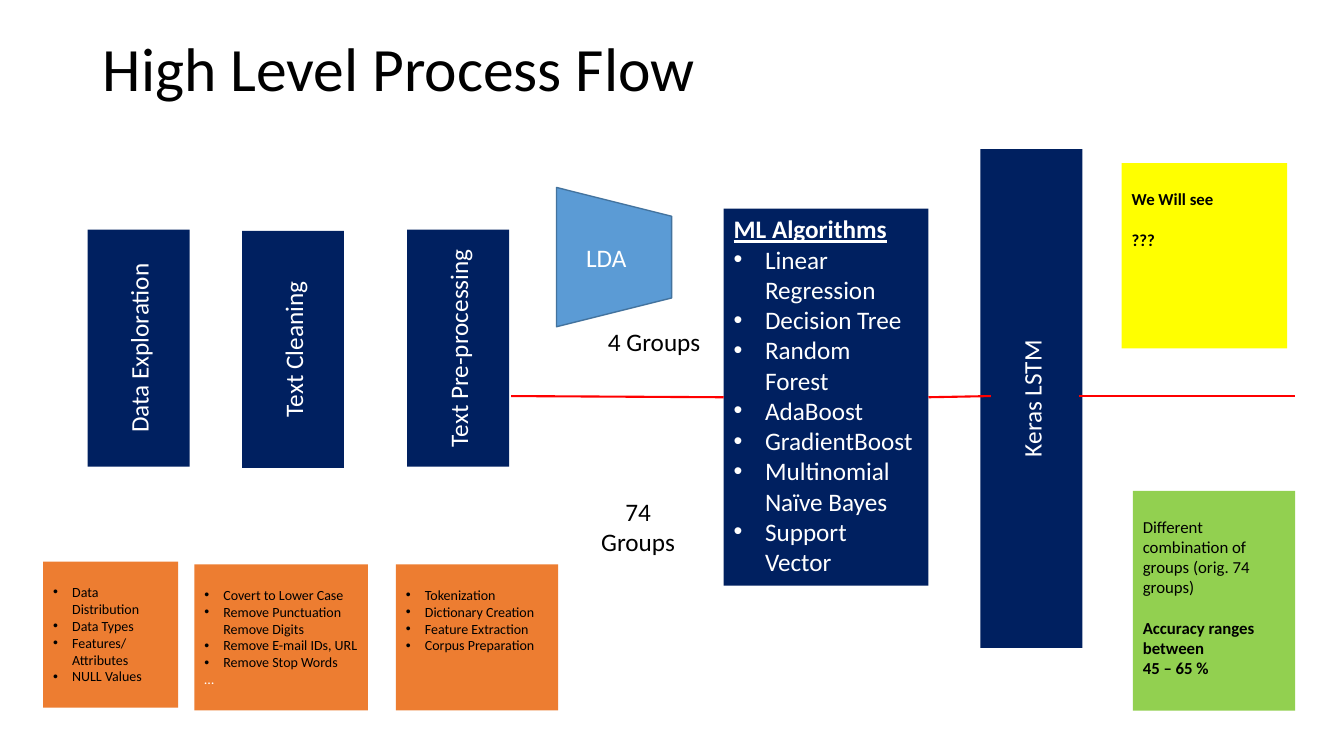
"""Build the High Level Process Flow slide."""
from lxml import etree
from pptx import Presentation, util as u
from pptx.dml.color import RGBColor
from pptx.enum import shapes, text
from pptx.oxml.ns import qn

NAVY, ORANGE, BLUE, BLUE_EDGE = "002060", "ED7D31", "5B9BD5", "43739E"
GREEN, YELLOW, RED, BLACK, WHITE = "92D050", "FFFF00", "FF0000", "000000", "FFFFFF"
FONT = "Calibri"
LINE_HEIGHT = 1.22

TITLE = ("High Level Process Flow", (2.34, 0.25, 29.21, 3.12))
STAGES = [
    ("Data Exploration", (2.21, 5.79, 2.57, 5.97)),
    ("Text Cleaning", (6.1, 5.82, 2.57, 5.97)),
    ("Text Pre-processing", (10.26, 5.79, 2.57, 5.97)),
    ("Keras LSTM", (24.71, 3.76, 2.57, 12.57)),
]
STAGE_DETAILS = [
    (["Data Distribution", "Data Types", "Features/ Attributes", "NULL Values"],
     "", (1.09, 14.15, 3.4, 3.68)),
    (["Covert to Lower Case", "Remove Punctuation Remove Digits",
      "Remove E-mail IDs, URL", "Remove Stop Words"],
     "…", (4.9, 14.22, 4.37, 3.68)),
    (["Tokenization", "Dictionary Creation", "Feature Extraction", "Corpus Preparation"],
     "", (9.98, 14.22, 4.09, 3.68)),
]
TOPIC_MODEL = ("LDA", (13.72, 5.03, 3.51, 2.9))
ALGORITHMS = ("ML Algorithms",
              ["Linear Regression", "Decision Tree", "Random Forest", "AdaBoost",
               "GradientBoost", "Multinomial Naïve Bayes", "Support Vector"],
              (18.24, 5.26, 5.16, 9.5))
RESULTS = [
    (GREEN, (28.55, 12.37, 4.09, 5.54),
     [("Different combination of groups (orig. 74 groups)", {}),
      ("Accuracy ranges between", {"bold": True, "gap": True}),
      ("45 – 65 %", {"bold": True})]),
    (YELLOW, (28.27, 4.11, 4.17, 4.67),
     [("We Will see", {"bold": True}), ("???", {"bold": True, "gap": True})]),
]
GROUP_LABELS = [
    ("74 Groups", (14.66, 12.37, 2.84, 1.8)),
    ("4 Groups", (15.06, 8.1, 2.85, 1.02)),
]
INTO_ALGORITHMS = (12.88, 9.98, 18.24, 9.98)
OUT_OF_ALGORITHMS = (23.4, 9.96, 24.97, 9.98)
OUT_OF_LSTM = (27.2, 9.98, 32.64, 9.98)


def rgb(code):
    return RGBColor.from_string(code)


def cm(lengths):
    return [u.Cm(length) for length in lengths]


def add_box(slide, place, fill, preset=shapes.MSO_SHAPE.RECTANGLE):
    box = slide.shapes.add_shape(preset, *cm(place))
    box.shadow.inherit = False
    box.fill.solid()
    box.fill.fore_color.rgb = rgb(fill)
    box.line.fill.background()
    return box


def write(box, lines, size, color, align=text.PP_ALIGN.LEFT,
          anchor=text.MSO_ANCHOR.TOP, wrap=True, skip_line=False):
    frame = box.text_frame
    frame.word_wrap = wrap
    frame.vertical_anchor = anchor
    if skip_line:
        frame.margin_top = u.Cm(0.13) + u.Pt(size * LINE_HEIGHT)
    for index, (words, style) in enumerate(lines):
        paragraph = frame.add_paragraph() if index else frame.paragraphs[0]
        paragraph.text = words
        paragraph.alignment = align
        font = paragraph.font
        font.name, font.size = FONT, u.Pt(size)
        font.color.rgb = rgb(style.get("color", color))
        font.bold = style.get("bold", False)
        font.underline = style.get("underline", False)
        if style.get("gap"):
            paragraph.space_before = u.Pt(size * LINE_HEIGHT)
        if "indent" in style:
            add_bullet(paragraph, u.Cm(style["indent"]))
    return frame


def add_bullet(paragraph, indent):
    properties = paragraph._p.get_or_add_pPr()
    properties.set("marL", str(indent))
    properties.set("indent", str(-indent))
    etree.SubElement(properties, qn("a:buFont")).set("typeface", "Arial")
    etree.SubElement(properties, qn("a:buChar")).set("char", "•")


def write_upward(box, words, wrap):
    write(box, [(words, {})], 18, WHITE, text.PP_ALIGN.CENTER, text.MSO_ANCHOR.MIDDLE, wrap)
    box.element.txBody.bodyPr.set("vert", "vert270")


def add_flow(slide, ends):
    flow = slide.shapes.add_connector(shapes.MSO_CONNECTOR.STRAIGHT, *cm(ends))
    flow.line.color.rgb = rgb(RED)
    flow.line.width = u.Pt(1.5)
    etree.SubElement(flow.element.spPr, qn("a:effectLst"))
    return flow


def main():
    deck = Presentation()
    deck.slide_width, deck.slide_height = cm((33.87, 19.05))
    slide = deck.slides.add_slide(deck.slide_layouts[6])

    heading, place = TITLE
    title = slide.shapes.add_textbox(*cm(place))
    frame = write(title, [(heading, {})], 44, BLACK, anchor=text.MSO_ANCHOR.MIDDLE)
    frame.paragraphs[0].line_spacing = 0.9

    for stage, place in STAGES:
        write_upward(add_box(slide, place, NAVY), stage, wrap=False)

    for steps, more, place in STAGE_DETAILS:
        lines = [(step, {"indent": 0.48}) for step in steps]
        if more:
            lines.append((more, {"color": WHITE}))
        write(add_box(slide, place, ORANGE), lines, 10, BLACK, skip_line=True)

    model, place = TOPIC_MODEL
    funnel = add_box(slide, place, BLUE, shapes.MSO_SHAPE.TRAPEZOID)
    funnel.rotation = 90
    funnel.line.color.rgb = rgb(BLUE_EDGE)
    funnel.line.width = u.Pt(1)
    write_upward(funnel, model, wrap=True)

    heading, names, place = ALGORITHMS
    algorithms = add_box(slide, place, NAVY)
    lines = [(heading, {"bold": True, "underline": True})]
    lines += [(name, {"indent": 0.79}) for name in names]
    write(algorithms, lines, 18, WHITE)

    for fill, place, lines in RESULTS:
        write(add_box(slide, place, fill), lines, 12, BLACK, skip_line=True)

    add_flow(slide, INTO_ALGORITHMS).end_connect(algorithms, 3 - 2)
    add_flow(slide, OUT_OF_ALGORITHMS).begin_connect(algorithms, 3)
    add_flow(slide, OUT_OF_LSTM)

    for label, place in GROUP_LABELS:
        write(slide.shapes.add_textbox(*cm(place)), [(label, {})], 18, BLACK,
              text.PP_ALIGN.CENTER)

    deck.save("out.pptx")


if __name__ == "__main__":
    main()
